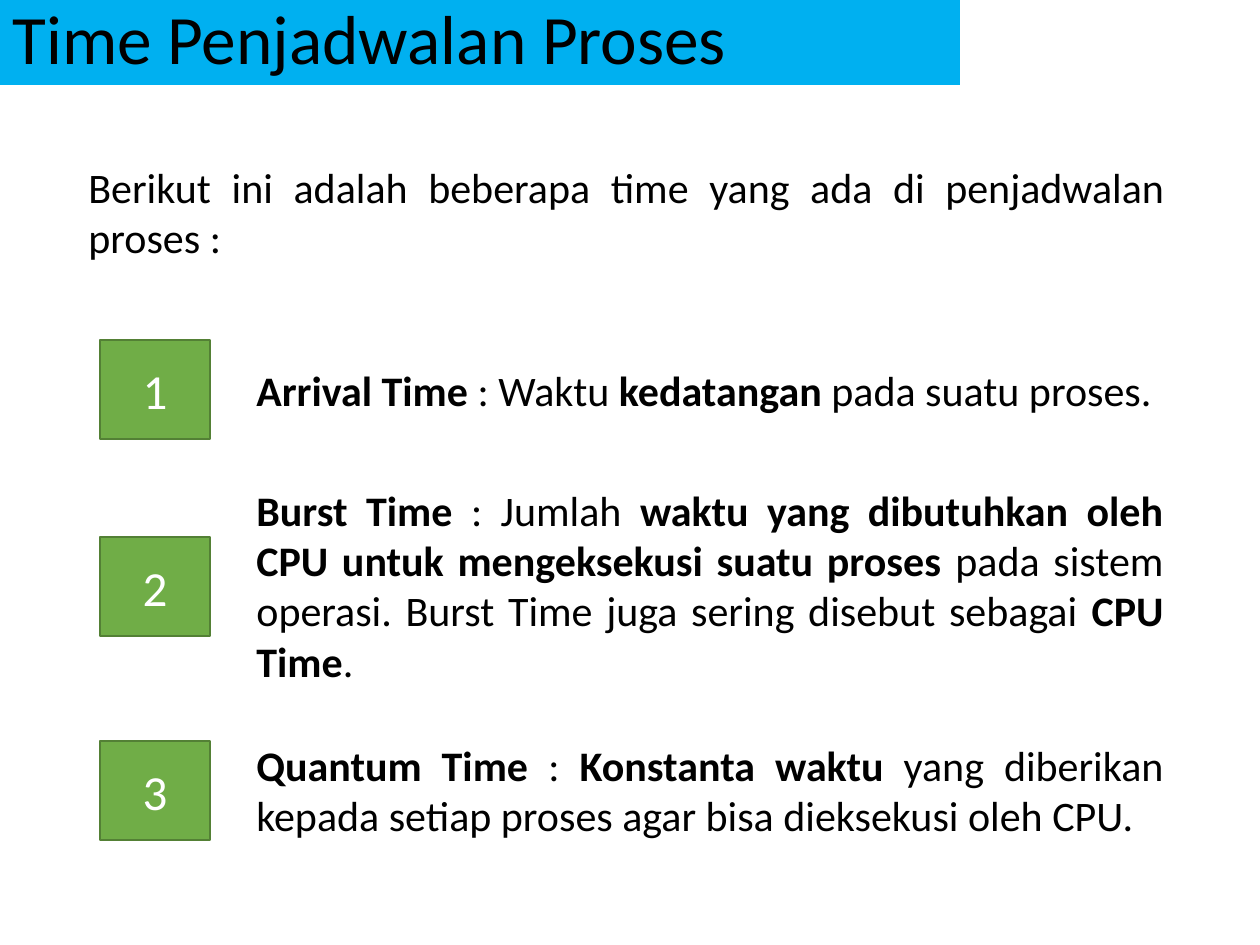
from pptx import Presentation
from pptx.dml.color import RGBColor
from pptx.enum.shapes import MSO_SHAPE
from pptx.enum.text import MSO_ANCHOR, PP_ALIGN
from pptx.util import Pt

EMU_PER_PX = 914400 / 126
BLUE = RGBColor(0x00, 0xB0, 0xF0)
GREEN = RGBColor(0x70, 0xAD, 0x47)
DARK_GREEN = RGBColor(0x53, 0x80, 0x35)
BLACK = RGBColor(0x00, 0x00, 0x00)
WHITE = RGBColor(0xFF, 0xFF, 0xFF)
RECTANGLE = MSO_SHAPE.RECTANGLE
MIDDLE, TOP = MSO_ANCHOR.MIDDLE, MSO_ANCHOR.TOP
LEFT, CENTER, JUSTIFY = PP_ALIGN.LEFT, PP_ALIGN.CENTER, PP_ALIGN.JUSTIFY


def px(*lengths):
    return [round(length * EMU_PER_PX) for length in lengths]


def write(shape, *parts, size=24, color=BLACK, align=JUSTIFY, anchor=TOP,
          spacing=1.0, bold_first=False):
    frame = shape.text_frame
    frame.word_wrap = True
    frame.vertical_anchor = anchor
    paragraph = frame.paragraphs[0]
    paragraph.alignment = align
    paragraph.line_spacing = spacing
    for index, part in enumerate(parts):
        run = paragraph.add_run()
        run.text = part
        run.font.name = "Calibri"
        run.font.size = Pt(size)
        run.font.color.rgb = color
        run.font.bold = bold_first and index % 2 == 0


prs = Presentation()
prs.slide_width, prs.slide_height = px(1260, 945)
slide = prs.slides.add_slide(prs.slide_layouts[5])

title = slide.shapes.title
title.left, title.top, title.width, title.height = px(0, 0, 960, 85)
title.fill.solid()
title.fill.fore_color.rgb = BLUE
write(title, "Time Penjadwalan Proses", size=39.6, align=LEFT, anchor=MIDDLE,
      spacing=0.9)

intro = slide.shapes.add_textbox(*px(76, 155, 1101, 115))
write(intro, "Berikut ini adalah beberapa time yang ada di penjadwalan proses :")

times = [
    (340, 358, 63, ("Arrival Time ", ": Waktu ", "kedatangan ",
                    "pada suatu proses.")),
    (537, 478, 217, ("Burst Time ", ": Jumlah ",
                     "waktu yang dibutuhkan oleh CPU untuk mengeksekusi suatu proses ",
                     "pada sistem operasi. Burst Time juga sering disebut sebagai ",
                     "CPU Time", ".")),
    (741, 733, 115, ("Quantum Time ", ": ", "Konstanta waktu",
                     " yang diberikan kepada setiap proses agar bisa dieksekusi oleh CPU.")),
]
for number, (badge_top, text_top, text_height, parts) in enumerate(times, 1):
    row = slide.shapes.add_group_shape()
    definition = row.shapes.add_textbox(*px(244, text_top, 932, text_height))
    write(definition, *parts, bold_first=True)

    badge = row.shapes.add_shape(RECTANGLE, *px(100, badge_top, 110, 99))
    badge.shadow.inherit = False
    badge.fill.solid()
    badge.fill.fore_color.rgb = GREEN
    badge.line.color.rgb = DARK_GREEN
    badge.line.width = Pt(1)
    write(badge, str(number), size=28, color=WHITE, align=CENTER, anchor=MIDDLE)

prs.save("out.pptx")
